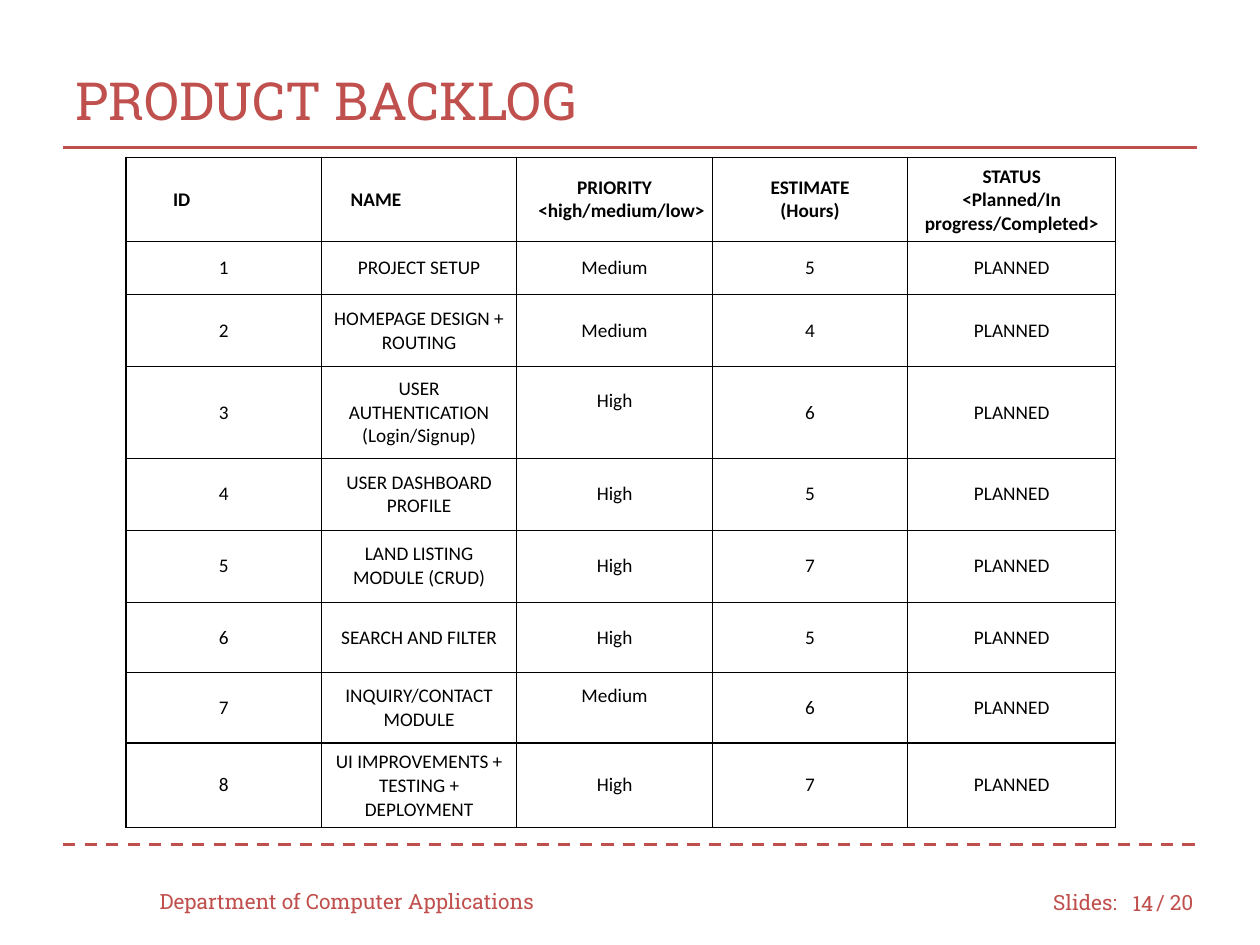
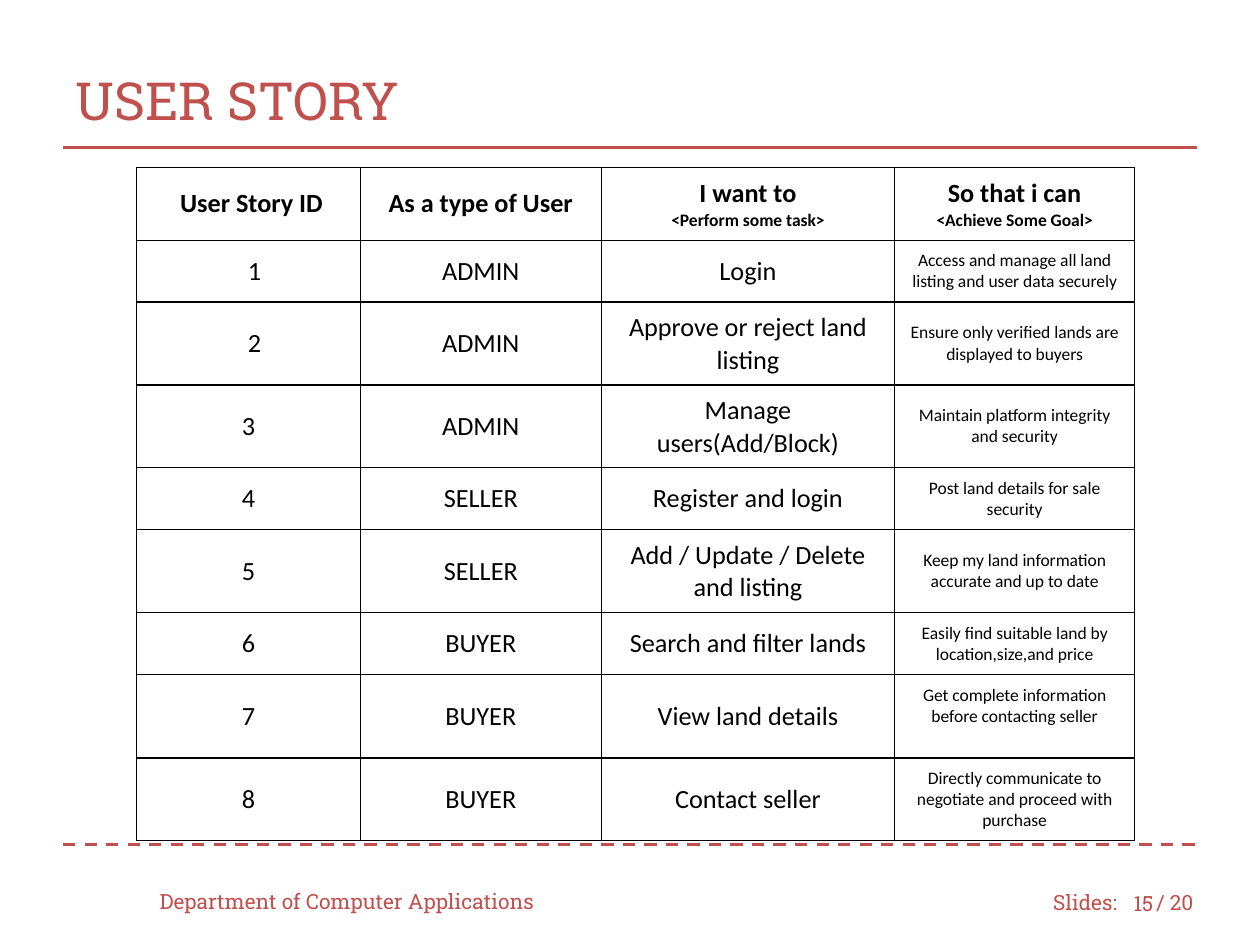
from lxml.etree import SubElement
from pptx import Presentation
from pptx.dml.color import RGBColor
from pptx.enum.dml import MSO_LINE
from pptx.enum.shapes import MSO_CONNECTOR
from pptx.enum.text import MSO_ANCHOR, PP_ALIGN
from pptx.oxml.ns import qn
from pptx.util import Cm, Pt

RED, BLACK, WHITE = "C0504D", "000000", "FFFFFF"
HEADING_FONT, TABLE_FONT = "Roboto Slab", "Calibri"


def color(value):
    return RGBColor.from_string(value)


def write(shape, text, size, align=PP_ALIGN.LEFT):
    frame = shape.text_frame
    frame.text = text
    frame.word_wrap = True
    frame.vertical_anchor = MSO_ANCHOR.MIDDLE
    paragraph = frame.paragraphs[0]
    paragraph.alignment = align
    paragraph.font.name = HEADING_FONT
    paragraph.font.size = Pt(size)
    paragraph.font.color.rgb = color(RED)


backlog = [
    ("PROJECT SETUP", "Medium", 5),
    ("HOMEPAGE DESIGN + ROUTING", "Medium", 4),
    ("USER AUTHENTICATION (Login/Signup)", "High", 6),
    ("USER DASHBOARD PROFILE", "High", 5),
    ("LAND LISTING MODULE (CRUD)", "High", 7),
    ("SEARCH AND FILTER", "High", 5),
    ("INQUIRY/CONTACT MODULE", "Medium", 6),
    ("UI IMPROVEMENTS + TESTING + DEPLOYMENT", "High", 7),
]
stories = [
    ("ADMIN", "Login", "Access and manage all land listing and user data securely"),
    ("ADMIN", "Approve or reject land listing", "Ensure only verified lands are displayed to buyers"),
    ("ADMIN", "Manage users(Add/Block)", "Maintain platform integrity and security"),
    ("SELLER", "Register and login", "Post land details for sale security"),
    ("SELLER", "Add / Update / Delete and listing", "Keep my land information accurate and up to date"),
    ("BUYER", "Search and filter lands", "Easily find suitable land by location,size,and price"),
    ("BUYER", "View land details", "Get complete information before contacting seller"),
    ("BUYER", "Contact seller", "Directly communicate to negotiate and proceed with purchase"),
]

pages = [
    {
        "title": "PRODUCT BACKLOG",
        "number": 14,
        "left": 2.54,
        "top": 3.17,
        "columns": [3.94] * 4 + [4.19],
        "rows": [1.6, 1.07, 1.45, 1.85, 1.45, 1.45, 1.42, 1.42, 1.6],
        "header": ("ID", "NAME", "PRIORITY\n<high/medium/low>", "ESTIMATE\n(Hours)",
                   "STATUS\n<Planned/In progress/Completed>"),
        "body": [(*item, "PLANNED") for item in backlog],
        "size": 11,
        "small_size": 11,
        "margin": 0.15,
        "extra_left": {(0, 0): 0.8, (0, 1): 0.44},
        "extra_bottom": {(3, 2): 0.48, (7, 2): 0.48},
        "alignments": {(0, 0, 0): PP_ALIGN.LEFT, (0, 1, 0): PP_ALIGN.LEFT,
                       (0, 2, 1): PP_ALIGN.RIGHT},
    },
    {
        "title": "USER STORY",
        "number": 15,
        "left": 2.75,
        "top": 3.38,
        "columns": [4.52, 4.85, 5.92, 4.83],
        "rows": [1.42, 1.19, 1.65, 1.65, 1.19, 1.65, 1.19, 1.63, 1.63],
        "header": ("User Story ID", "As a type of User", "I want to\n<Perform some task>",
                   "So that i can\n<Achieve Some Goal>"),
        "body": stories,
        "size": 15,
        "small_size": 10,
        "margin": 0.2,
        "extra_left": {(0, 0): 0.12, (1, 0): 0.24, (2, 0): 0.24},
        "extra_bottom": {(7, 3): 0.43},
        "alignments": {},
    },
]

presentation = Presentation()
presentation.slide_width = Cm(25.4)
presentation.slide_height = Cm(19.05)

for page in pages:
    slide = presentation.slides.add_slide(presentation.slide_layouts[5])
    title = slide.shapes.title
    title.left, title.top, title.width, title.height = Cm(1.27), Cm(0.84), Cm(22.86), Cm(2.34)
    write(title, page["title"], 30)

    for y, dash in [(2.97, None), (17.02, MSO_LINE.DASH)]:
        rule = slide.shapes.add_connector(MSO_CONNECTOR.STRAIGHT, Cm(1.27), Cm(y), Cm(24.13), Cm(y))
        rule.line.color.rgb = color(RED)
        rule.line.width = Pt(1.75)
        rule.line.dash_style = dash
        SubElement(rule._element.spPr, qn("a:effectLst"))

    for text, left, top, width, align in [
        ("Department of Computer Applications", 2.97, 17.65, 8.46, PP_ALIGN.LEFT),
        ("Slides:", 20.98, 17.68, 1.9, PP_ALIGN.LEFT),
        (str(page["number"]), 22.43, 17.7, 1.07, PP_ALIGN.RIGHT),
        ("/ 20", 23.06, 17.68, 1.47, PP_ALIGN.LEFT),
    ]:
        footer = slide.shapes.add_textbox(Cm(left), Cm(top), Cm(width), Cm(1.02))
        write(footer, text, 12, align)

    records = [page["header"]]
    records += [(number, *record) for number, record in enumerate(page["body"], 1)]
    columns, rows = page["columns"], page["rows"]
    table = slide.shapes.add_table(len(rows), len(columns), Cm(page["left"]), Cm(page["top"]),
                                   Cm(sum(columns)), Cm(sum(rows))).table
    table.horz_banding = False
    for column, width in zip(table.columns, columns):
        column.width = Cm(width)
    for row, height in zip(table.rows, rows):
        row.height = Cm(height)

    for row_index, record in enumerate(records):
        is_header = row_index == 0
        for column_index, value in enumerate(record):
            position = (row_index, column_index)
            margin = page["margin"]
            cell = table.cell(*position)
            cell.text = str(value)
            cell.vertical_anchor = MSO_ANCHOR.MIDDLE
            cell.margin_top = cell.margin_right = Cm(margin)
            cell.margin_left = Cm(margin + page["extra_left"].get(position, 0))
            cell.margin_bottom = Cm(margin + page["extra_bottom"].get(position, 0))

            for side in ("lnL", "lnR", "lnT", "lnB"):
                border = SubElement(cell._tc.get_or_add_tcPr(), qn(f"a:{side}"), w=str(Pt(0.75)))
                border_fill = SubElement(border, qn("a:solidFill"))
                SubElement(border_fill, qn("a:srgbClr"), val=BLACK)
            cell.fill.solid()
            cell.fill.fore_color.rgb = color(WHITE)

            for line_index, paragraph in enumerate(cell.text_frame.paragraphs):
                is_small = line_index > 0 if is_header else column_index == len(columns) - 1
                paragraph.alignment = page["alignments"].get((*position, line_index), PP_ALIGN.CENTER)
                paragraph.font.name = TABLE_FONT
                paragraph.font.size = Pt(page["small_size"] if is_small else page["size"])
                paragraph.font.bold = is_header
                paragraph.font.color.rgb = color(BLACK)

presentation.save("out.pptx")
